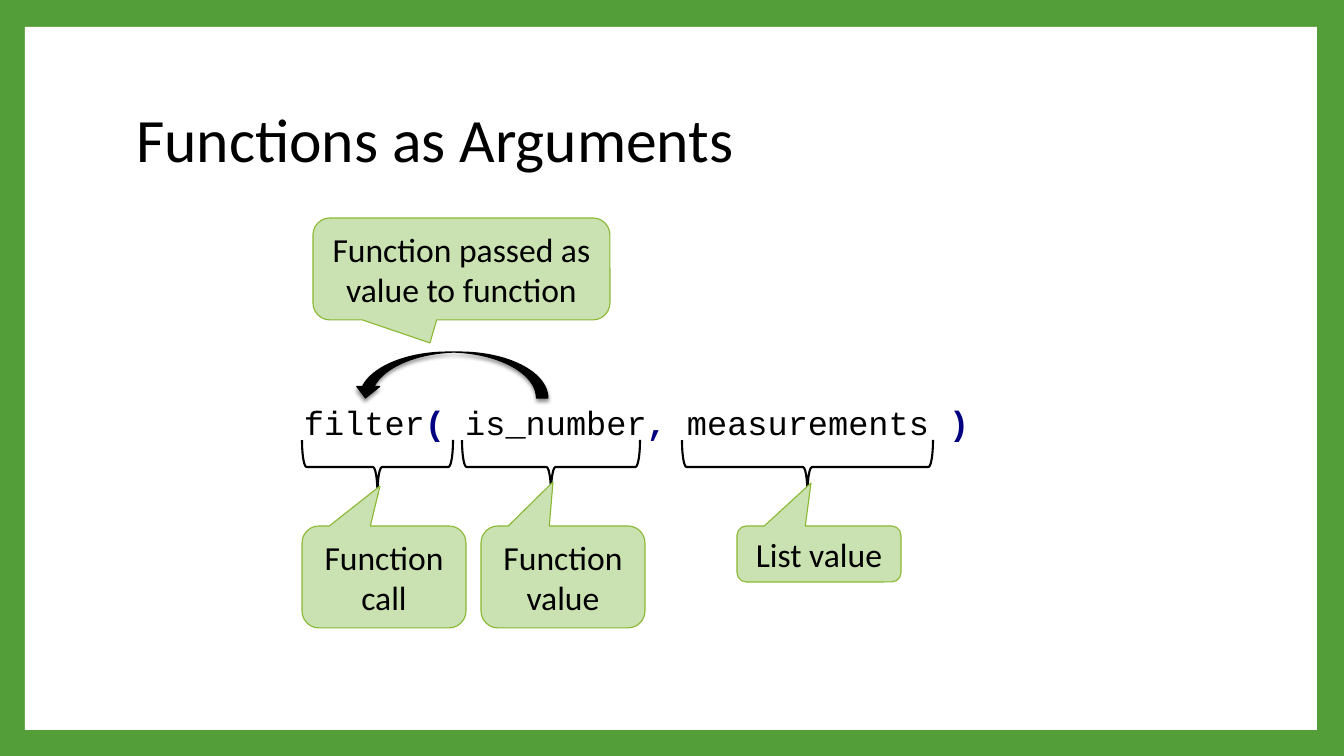
import pptx
import pptx.util
import pptx.dml.color
import pptx.enum.dml
import pptx.enum.shapes
import pptx.enum.text
import pptx.oxml
import pptx.oxml.ns

Kind = pptx.enum.shapes.MSO_SHAPE
Align = pptx.enum.text.PP_ALIGN
Fit = pptx.enum.text.MSO_AUTO_SIZE
Anchor = pptx.enum.text.MSO_ANCHOR
Pt = pptx.util.Pt

SIZE = (1344, 756)
FRAME = (25, 27, 1292, 703)
TITLE = ("Functions as Arguments", (126, 68, 1089, 149))
CODE = [("filter", "plain"), ("( ", "mark"), ("is_number", "plain"),
        (",", "mark"), (" measurements ", "plain"), (")", "mark")]
CODE_BOX = (294, 397, 690, 50)
BRACES = [(302, 151), (462, 178), (682, 251)]
BRACE_TOP, BRACE_DEEP = 440, 54
CALLS = [
    ("Function call", (302, 526, 164, 102), (380, 486)),
    ("Function value", (481, 526, 164, 102), (553, 482)),
    ("List value", (737, 526, 164, 56), (811, 483)),
    ("Function passed as value to function", (313, 218, 297, 102), (430, 343)),
]
ARROW = (354, 352, 194, 46)

THEME = {
    "green": "549E39", "white": "FFFFFF", "black": "000000",
    "pale": "CAE1B1", "edge": "8AB833", "thin": 0.79, "thick": 1.5,
    "title": {"name": "Calibri", "size": Pt(44), "bold": False},
    "label": {"name": "Calibri", "size": Pt(24), "bold": False},
    "plain": {"name": "Courier New", "size": Pt(24), "bold": False},
    "mark": {"name": "Courier New", "size": Pt(24), "bold": True},
    "ink": {"mark": "000080"},
}
SHADOW = (
    '<a:effectLst %s><a:outerShdw blurRad="38100" dist="25400" dir="5400000" '
    'rotWithShape="0"><a:srgbClr val="000000"><a:alpha val="45000"/>'
    '</a:srgbClr></a:outerShdw></a:effectLst>' % pptx.oxml.ns.nsdecls("a"))


def px(n):
    return round(n * 914400 / 100.8)


def rgb(name):
    return pptx.dml.color.RGBColor.from_string(THEME.get(name, name))


def put(obj, vals):
    for key, val in vals.items():
        setattr(obj, key, val)


def write(para, text, style):
    run = para.add_run()
    run.text = text
    put(run.font, THEME[style])
    run.font.color.rgb = rgb(THEME["ink"].get(style, "black"))


def draw(slide, kind, box, fill=None, line=None, width=0):
    shape = slide.shapes.add_shape(kind, *map(px, box))
    shape.shadow.inherit = False
    if fill:
        shape.fill.solid()
        shape.fill.fore_color.rgb = rgb(fill)
    else:
        shape.fill.background()
    if line:
        shape.line.color.rgb = rgb(line)
        shape.line.width = Pt(width)
    else:
        shape.line.fill.background()
    return shape


def head(slide):
    text, box = TITLE
    title = slide.shapes.title
    put(title, dict(zip(("left", "top", "width", "height"), map(px, box))))
    put(title.text_frame, {"word_wrap": True, "auto_size": Fit.NONE,
                           "vertical_anchor": Anchor.MIDDLE})
    para = title.text_frame.paragraphs[0]
    put(para, {"alignment": Align.LEFT, "line_spacing": 0.9})
    write(para, text, "title")
    frame = draw(slide, Kind.RECTANGLE, FRAME, "white")
    title._element.addprevious(frame._element)


def code(slide):
    box = slide.shapes.add_textbox(*map(px, CODE_BOX))
    put(box.text_frame, {"word_wrap": False, "auto_size": Fit.SHAPE_TO_FIT_TEXT})
    for text, style in CODE:
        write(box.text_frame.paragraphs[0], text, style)


def brace(slide, left, span):
    shift = (span - BRACE_DEEP) / 2
    box = (left + shift, BRACE_TOP - shift, BRACE_DEEP, span)
    shape = draw(slide, Kind.LEFT_BRACE, box, None, "black", THEME["thick"])
    shape.rotation = 270


def call(slide, text, box, tip):
    shape = draw(slide, Kind.ROUNDED_RECTANGULAR_CALLOUT, box,
                 "pale", "edge", THEME["thin"])
    for axis in (0, 1):
        shape.adjustments[axis] = (tip[axis] - box[axis]) / box[axis + 2] - 0.5
    put(shape.text_frame, {"word_wrap": True, "vertical_anchor": Anchor.MIDDLE,
                           "auto_size": Fit.SHAPE_TO_FIT_TEXT})
    para = shape.text_frame.paragraphs[0]
    para.alignment = Align.CENTER
    write(para, text, "label")


def arrow(slide):
    shape = draw(slide, Kind.CURVED_DOWN_ARROW, ARROW,
                 "black", "black", THEME["thin"])
    props = shape._element.spPr
    props.xfrm.set("flipH", "1")
    old = props.find(pptx.oxml.ns.qn("a:effectLst"))
    props.replace(old, pptx.oxml.parse_xml(SHADOW))


def main():
    deck = pptx.Presentation()
    deck.slide_width, deck.slide_height = map(px, SIZE)
    slide = deck.slides.add_slide(deck.slide_layouts[5])
    slide.background.fill.solid()
    slide.background.fill.fore_color.rgb = rgb("green")
    head(slide)
    code(slide)
    for left, span in BRACES:
        brace(slide, left, span)
    for text, box, tip in CALLS:
        call(slide, text, box, tip)
    arrow(slide)
    deck.save("out.pptx")


if __name__ == "__main__":
    main()
